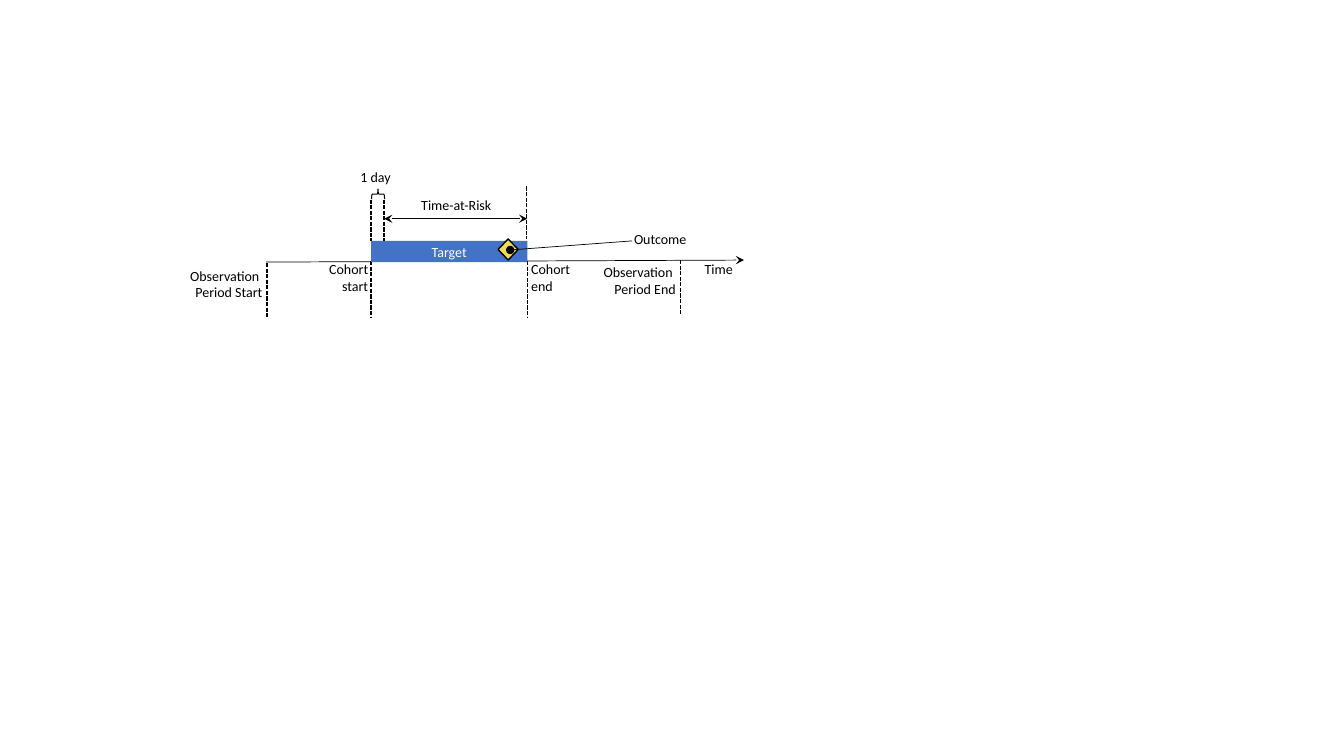
from lxml import etree
from pptx import Presentation
from pptx.dml.color import RGBColor
from pptx.enum.dml import MSO_LINE
from pptx.enum.shapes import MSO_CONNECTOR, MSO_SHAPE
from pptx.enum.text import MSO_ANCHOR, PP_ALIGN
from pptx.oxml.ns import qn
from pptx.util import Inches, Pt

STRAIGHT = MSO_CONNECTOR.STRAIGHT
DASHED = MSO_LINE.SQUARE_DOT
RECTANGLE, DECISION, BRACE = MSO_SHAPE.RECTANGLE, MSO_SHAPE.FLOWCHART_DECISION, MSO_SHAPE.RIGHT_BRACE
LEFT, CENTER, RIGHT = PP_ALIGN.LEFT, PP_ALIGN.CENTER, PP_ALIGN.RIGHT
MIDDLE = MSO_ANCHOR.MIDDLE
COLORS = {"ink": "000000", "paper": "FFFFFF", "target": "4472C4", "outcome": "EEDC54"}


def write_text(frame, text, align, color):
    frame.text = text
    for paragraph in frame.paragraphs:
        paragraph.alignment = align
        for name, value in {"name": "Calibri", "size": Pt(10)}.items():
            setattr(paragraph.font, name, value)
        paragraph.font.color.rgb = RGBColor.from_string(COLORS[color])


def draw_line(start, end, width=0.5, dash=None, head=None, tail=None):
    line = slide.shapes.add_connector(STRAIGHT, *map(Inches, start + end))
    line.line.color.rgb = RGBColor.from_string(COLORS["ink"])
    line.line.width = Pt(width)
    line.line.dash_style = dash
    for tag, arrow in (("a:headEnd", head), ("a:tailEnd", tail)):
        if arrow:
            etree.SubElement(line.line._get_or_add_ln(), qn(tag), type=arrow)
    etree.SubElement(line._element.spPr, qn("a:effectLst"))


prs = Presentation()
prs.slide_width, prs.slide_height = Inches(13.33), Inches(7.5)
slide = prs.slides.add_slide(prs.slide_layouts[6])

cohort_start, risk_start, cohort_end = 3.68, 3.81, 5.23
bar_top, bar_height = 2.39, 0.21

draw_line((2.64, 2.6), (7.38, 2.58), tail="stealth")

boundaries = [
    (2.65, 2.61, 3.15),
    (cohort_start, 1.98, bar_top),
    (cohort_start, 2.59, 3.15),
    (risk_start, 1.98, bar_top),
    (5.22, 1.85, 2.37),
    (cohort_end, 2.59, 3.15),
    (6.75, 2.58, 3.12),
]
for x, top, bottom in boundaries:
    draw_line((x, top), (x, bottom), width=1, dash=DASHED)

marks = [
    (RECTANGLE, (cohort_start, bar_top, cohort_end - cohort_start, bar_height), "target", None, 0),
    (DECISION, (4.94, 2.37, 0.2, 0.21), "outcome", 1, 0),
    (BRACE, (3.7, 1.86, 0.1, 0.13), None, 0.75, 270),
]
for kind, box, fill, outline, rotation in marks:
    mark = slide.shapes.add_shape(kind, *map(Inches, box))
    mark.shadow.inherit = False
    mark.rotation = rotation
    if fill:
        mark.fill.solid()
        mark.fill.fore_color.rgb = RGBColor.from_string(COLORS[fill])
    else:
        mark.fill.background()
    if outline:
        mark.line.color.rgb = RGBColor.from_string(COLORS["ink"])
        mark.line.width = Pt(outline)
    else:
        mark.line.fill.background()
    if fill == "target":
        write_text(mark.text_frame, "Target", CENTER, "paper")
        mark.text_frame.vertical_anchor = MIDDLE

draw_line((risk_start, 2.17), (cohort_end, 2.17), head="stealth", tail="stealth")
draw_line((6.27, 2.39), (5.06, 2.48), tail="oval")

labels = [
    ("1 day", (3.44, 1.62, 0.57, 0.27), CENTER, True),
    ("Time-at-Risk", (4, 1.9, 1.05, 0.27), CENTER, True),
    ("Outcome", (6.19, 2.24, 0.73, 0.27), LEFT, False),
    ("Time", (6.89, 2.54, 0.48, 0.27), LEFT, False),
    ("Cohort start", (3.08, 2.54, 0.67, 0.44), RIGHT, True),
    ("Cohort end", (5.17, 2.54, 0.67, 0.44), LEFT, True),
    ("Observation \nPeriod Start", (1.78, 2.6, 0.92, 0.44), RIGHT, True),
    ("Observation \nPeriod End", (5.88, 2.57, 0.92, 0.44), RIGHT, True),
]
for text, box, align, wrap in labels:
    label = slide.shapes.add_textbox(*map(Inches, box)).text_frame
    label.word_wrap = wrap
    write_text(label, text, align, "ink")

prs.save("out.pptx")
